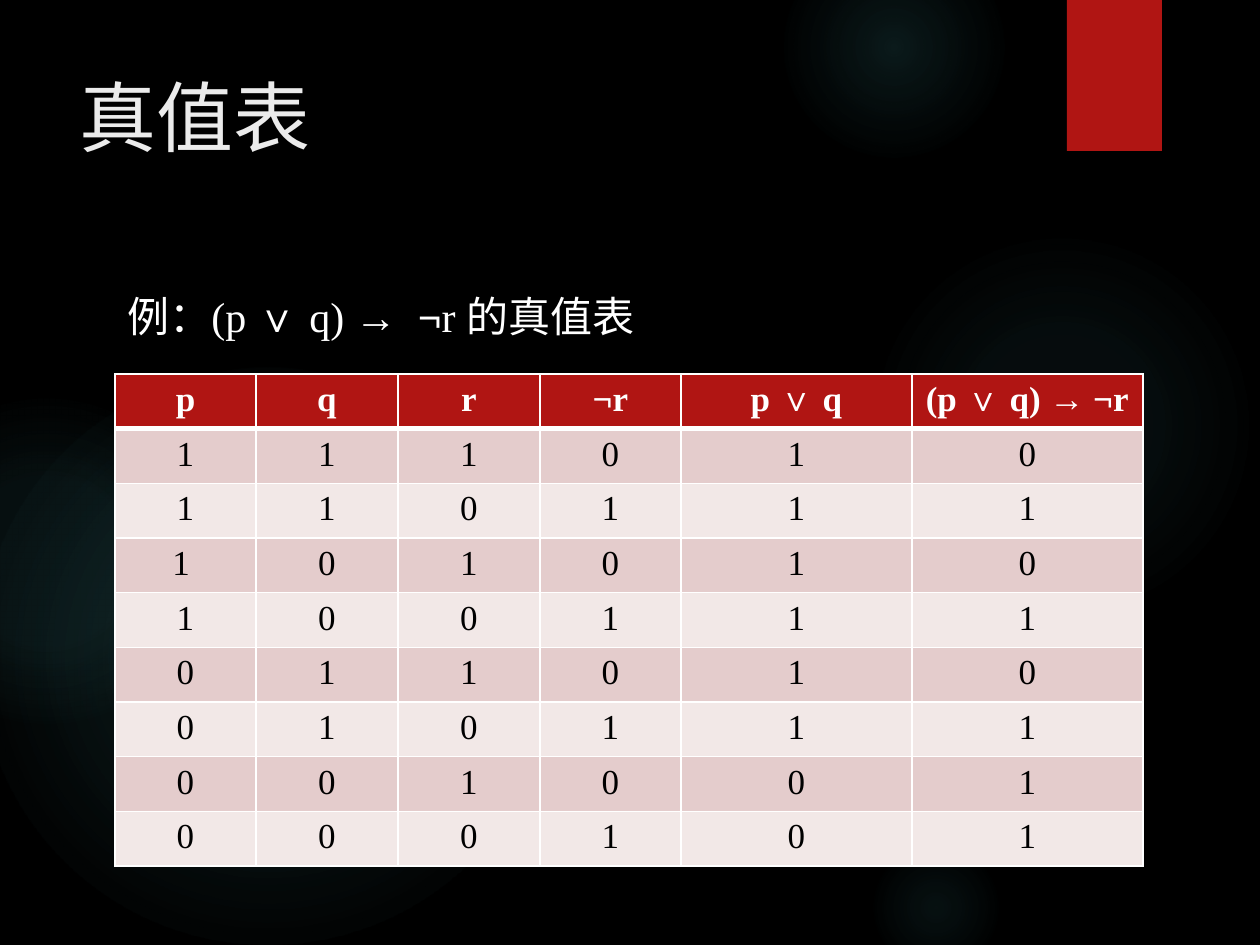
import pptx
import pptx.dml.color
import pptx.enum.shapes
import pptx.enum.text
import pptx.oxml
import pptx.oxml.ns
import pptx.util

PX = 914400 / 126
SERIF, SANS = "Times New Roman", "TeX Gyre Adventor"
RED, WHITE, BLACK, TEAL = "B01513", "FFFFFF", "000000", "50B9C1"
BANDS = ("E4CCCC", "F2E8E7")

TITLE = "真值表"
EXAMPLE = [  # text, font, bold
    ("例：(p ", SERIF, False),
    ("∨ ", SERIF, True),
    ("q) ", SERIF, False),
    ("→  ¬", SERIF, True),
    ("r ", SERIF, False),
    ("的真值表", SANS, False),
]
HEADINGS = ["p", "q", "r", "¬r", "p ∨ q", "(p ∨ q) → ¬r"]
TRUTH_ROWS = [
    ["1", "1", "1", "0", "1", "0"],
    ["1", "1", "0", "1", "1", "1"],
    ["1 ", "0", "1", "0", "1", "0"],
    ["1", "0", "0", "1", "1", "1"],
    ["0", "1", "1", "0", "1", "0"],
    ["0", "1", "0", "1", "1", "1"],
    ["0", "0", "1", "0", "0", "1"],
    ["0", "0", "0", "1", "0", "1"],
]
COLUMN_WIDTHS = [141, 142, 142, 141, 231, 231]
TABLE_HEIGHT = 463
GLOWS = [  # left, top, diameter, (stop %, opacity %)
    (868, 231, 388, [(0, 7), (36, 6), (69, 0)]),
    (784, -63, 220, [(0, 14), (36, 7), (73, 0)]),
    (868, 840, 136, [(0, 9), (36, 5), (66, 0)]),
    (-21, 368, 577, [(0, 11), (36, 10), (75, 0)]),
    (-116, 399, 325, [(0, 8), (36, 8), (72, 0)]),
]


def px(length):
    return pptx.util.Emu(round(length * PX))


def rgb(value):
    return pptx.dml.color.RGBColor.from_string(value)


def style_font(font, color, **values):
    font.color.rgb = rgb(color)
    for key, value in values.items():
        setattr(font, key, value)


def add_plain_shape(slide, kind, *box):
    shape = slide.shapes.add_shape(kind, *map(px, box))
    shape.shadow.inherit = False
    shape.line.fill.background()
    return shape


def fill_radial(shape, stops):
    """Replace the shape's fill with a teal glow fading out from its centre."""
    shape.fill.background()
    stop_xml = "".join(
        f'<a:gs pos="{position * 1000}"><a:srgbClr val="{TEAL}">'
        f'<a:alpha val="{opacity * 1000}"/></a:srgbClr></a:gs>'
        for position, opacity in stops
    )
    gradient = pptx.oxml.parse_xml(
        f'<a:gradFill {pptx.oxml.ns.nsdecls("a")} rotWithShape="1"><a:gsLst>{stop_xml}</a:gsLst>'
        '<a:path path="circle"><a:fillToRect l="50000" t="50000" r="50000" b="50000"/></a:path>'
        "</a:gradFill>"
    )
    properties = shape.element.spPr
    no_fill = properties.find(pptx.oxml.ns.qn("a:noFill"))
    properties.replace(no_fill, gradient)


def border_cell(cell, bottom_width):
    properties = cell._tc.get_or_add_tcPr()
    widths = {"lnL": 1, "lnR": 1, "lnT": 1, "lnB": bottom_width}
    for index, (side, width) in enumerate(widths.items()):
        properties.insert(index, pptx.oxml.parse_xml(
            f'<a:{side} {pptx.oxml.ns.nsdecls("a")} w="{pptx.util.Pt(width)}">'
            f'<a:solidFill><a:srgbClr val="{WHITE}"/></a:solidFill></a:{side}>'
        ))


def add_background(slide):
    slide.background.fill.solid()
    slide.background.fill.fore_color.rgb = rgb(BLACK)
    shapes = pptx.enum.shapes.MSO_SHAPE
    for left, top, diameter, stops in GLOWS:
        glow = add_plain_shape(slide, shapes.OVAL, left, top, diameter, diameter)
        fill_radial(glow, stops)
    ribbon = add_plain_shape(slide, shapes.RECTANGLE, 1067, 0, 95, 151)
    ribbon.fill.solid()
    ribbon.fill.fore_color.rgb = rgb(RED)


def add_title(slide):
    title = slide.shapes.title
    title.element.getparent().append(title.element)  # in front of the glows
    title.left, title.top, title.width, title.height = map(px, (67, 63, 973, 126))
    title.text = TITLE
    title.text_frame.vertical_anchor = pptx.enum.text.MSO_ANCHOR.TOP
    paragraph = title.text_frame.paragraphs[0]
    paragraph.alignment = pptx.enum.text.PP_ALIGN.LEFT
    style_font(paragraph.runs[0].font, "EBEBEB", name=SANS, size=pptx.util.Pt(44))


def add_example(slide):
    example = slide.shapes.add_textbox(*map(px, (115, 284, 925, 578)))
    example.text_frame.word_wrap = True
    paragraph = example.text_frame.paragraphs[0]
    for text, font_name, bold in EXAMPLE:
        run = paragraph.add_run()
        run.text = text
        style_font(run.font, WHITE, name=font_name, size=pptx.util.Pt(24), bold=bold)


def add_truth_table(slide):
    rows = [HEADINGS] + TRUTH_ROWS
    table = slide.shapes.add_table(
        len(rows), len(HEADINGS), px(115), px(374), px(sum(COLUMN_WIDTHS)), px(TABLE_HEIGHT)
    ).table
    for column, width in zip(table.columns, COLUMN_WIDTHS):
        column.width = px(width)
    for row_index, values in enumerate(rows):
        heading = row_index == 0
        fill = RED if heading else BANDS[(row_index - 1) % 2]
        for column_index, value in enumerate(values):
            cell = table.cell(row_index, column_index)
            cell.text = value
            cell.fill.solid()
            cell.fill.fore_color.rgb = rgb(fill)
            border_cell(cell, 3 if heading else 1)
            paragraph = cell.text_frame.paragraphs[0]
            paragraph.alignment = pptx.enum.text.PP_ALIGN.CENTER
            style_font(paragraph.runs[0].font, WHITE if heading else BLACK,
                       name=SERIF, size=pptx.util.Pt(20), bold=heading)


def main():
    deck = pptx.Presentation()
    deck.slide_width, deck.slide_height = px(1260), px(945)
    slide = deck.slides.add_slide(deck.slide_layouts[5])
    add_background(slide)
    add_title(slide)
    add_example(slide)
    add_truth_table(slide)
    deck.save("out.pptx")


if __name__ == "__main__":
    main()
